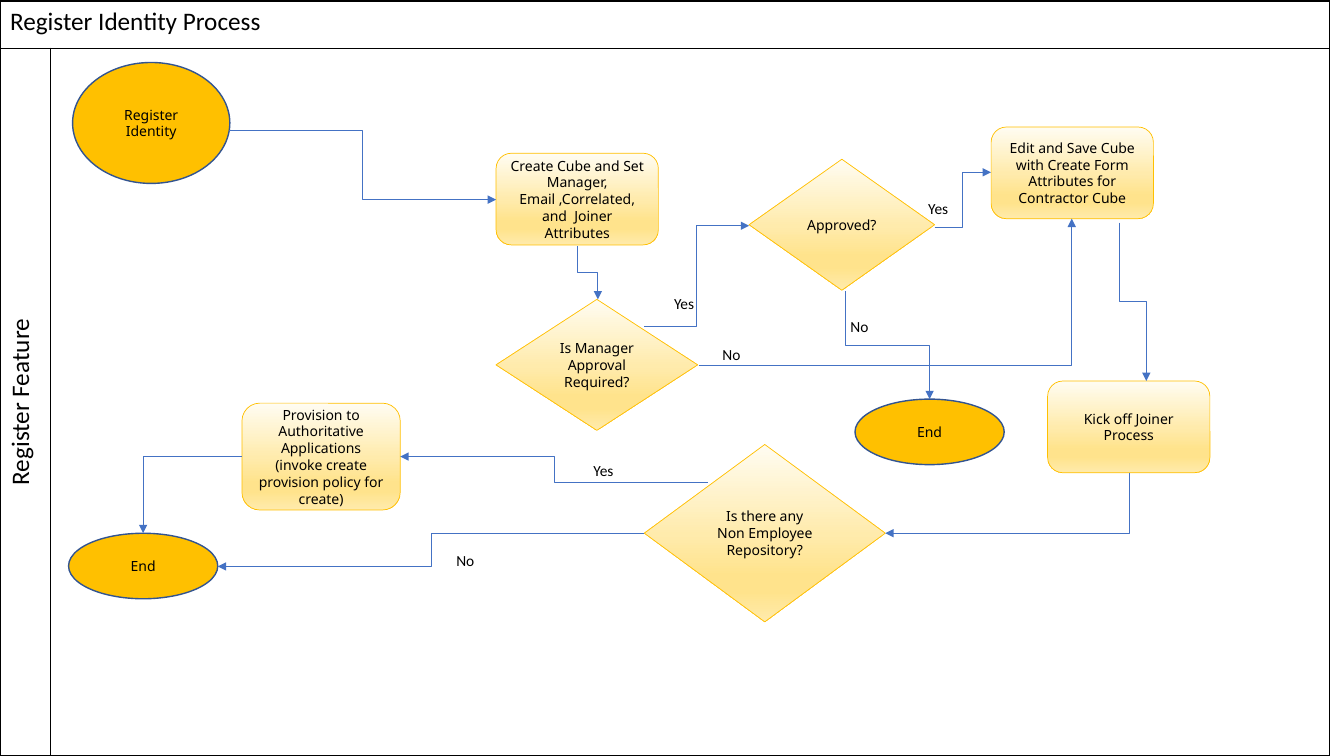
from lxml.etree import SubElement
from pptx import Presentation
from pptx.dml.color import RGBColor
from pptx.enum.shapes import MSO_CONNECTOR, MSO_SHAPE
from pptx.enum.text import MSO_ANCHOR, PP_ALIGN
from pptx.oxml import parse_xml
from pptx.oxml.ns import nsdecls, qn
from pptx.util import Inches, Pt

BLACK = RGBColor(0x00, 0x00, 0x00)
GOLD = RGBColor(0xFF, 0xC0, 0x00)
NAVY = RGBColor(0x32, 0x54, 0x91)
BLUE = RGBColor(0x44, 0x72, 0xC4)
FADE = [
    (0, RGBColor(0xFF, 0xFC, 0xF2)),
    (51, RGBColor(0xFF, 0xEB, 0xAC)),
    (74, RGBColor(0xFF, 0xE3, 0x8C)),
    (83, RGBColor(0xFF, 0xE3, 0x8C)),
    (100, RGBColor(0xFF, 0xEB, 0xAC)),
]

ENDS = [
    ("Register Identity", 0.72, 0.62, 1.56, 1.2),
    ("End", 0.68, 5.29, 1.48, 0.65),
    ("End", 8.48, 3.96, 1.48, 0.65),
]
STEPS = [
    ("Create Cube and Set Manager, Email ,Correlated, and  Joiner Attributes",
     4.92, 1.52, 1.61, 0.91),
    ("Edit and Save Cube with Create Form Attributes for Contractor Cube",
     9.83, 1.26, 1.61, 0.91),
    ("Kick off Joiner Process", 10.39, 3.78, 1.61, 0.91),
    ("Provision to Authoritative Applications (invoke create provision policy for create)",
     2.4, 4, 1.57, 1.06),
]
CHECKS = [
    ("Is Manager Approval Required?", 4.92, 2.97, 2, 1.3),
    ("Approved?", 7.43, 1.58, 1.84, 1.3),
    ("Is there any Non Employee Repository?", 6.39, 4.41, 2.39, 1.76),
]
LABELS = [
    ("Yes", 9.08, 1.89), ("Yes", 6.56, 2.83), ("No", 7.03, 3.34),
    ("No", 8.3, 3.06), ("No", 4.39, 5.38), ("Yes", 5.76, 4.49),
]
LINKS = [
    ("HVH", 2.27, 1.29, 4.92, 1.98),
    ("HVH", 6.39, 3.24, 7.43, 2.24),
    ("HV", 6.93, 3.62, 10.63, 2.17),
    ("HVH", 9.27, 2.26, 9.83, 1.71),
    ("VHV", 11.1, 2.21, 11.37, 3.78),
    ("VH", 11.2, 4.69, 8.78, 5.29),
    ("VHV", 5.73, 2.44, 5.93, 2.97),
    ("VHV", 8.38, 2.89, 9.22, 3.96),
    ("HVH", 6.39, 5.29, 2.16, 5.62),
    ("HVH", 7.02, 4.79, 3.97, 4.53),
    ("HV", 2.4, 4.53, 1.42, 5.29),
]


def style(para, size, font, align=PP_ALIGN.CENTER):
    """Set the font and alignment of a paragraph."""
    para.alignment = align
    para.font.size = Pt(size)
    para.font.name = font
    para.font.color.rgb = BLACK


def add_border(cell):
    """Draw a thin black line on each side of a cell."""
    props = cell._tc.get_or_add_tcPr()
    for rank, side in enumerate(("lnL", "lnR", "lnT", "lnB")):
        props.insert(rank, parse_xml(
            f'<a:{side} {nsdecls("a")} w="12700"><a:solidFill>'
            f'<a:srgbClr val="{BLACK}"/></a:solidFill></a:{side}>'))


def add_frame(slide):
    """Add the table that holds the title and the lane."""
    table = slide.shapes.add_table(
        2, 2, 0, Inches(0.01), Inches(13.19), Inches(7.49)).table
    table.first_row = table.horz_banding = False
    for col, width in zip(table.columns, (0.5, 12.69)):
        col.width = Inches(width)
    for row, height in zip(table.rows, (0.47, 7.02)):
        row.height = Inches(height)
    for cell in table.iter_cells():
        cell.fill.background()
        add_border(cell)
    title, lane = table.cell(0, 0), table.cell(1, 0)
    title.merge(table.cell(0, 1))
    title.text = "Register Identity Process"
    style(title.text_frame.paragraphs[0], 18, "Calibri", PP_ALIGN.LEFT)
    lane.text = "Register Feature"
    style(lane.text_frame.paragraphs[0], 18, "Calibri")
    lane._tc.get_or_add_tcPr().set("vert", "vert270")


def add_fade(fill):
    """Fill with the pale gold gradient from top to bottom."""
    fill.gradient()
    fill.gradient_angle = 270
    stops = fill._xPr.find(qn("a:gradFill")).find(qn("a:gsLst"))
    for stop in list(stops):
        stops.remove(stop)
    for place, color in FADE:
        stop = SubElement(stops, qn("a:gs"), pos=str(place * 1000))
        SubElement(stop, qn("a:srgbClr"), val=str(color))


def add_node(slide, kind, text, *box):
    """Add a flow shape with centred text."""
    node = slide.shapes.add_shape(kind, *map(Inches, box))
    node.shadow.inherit = False
    if kind == MSO_SHAPE.OVAL:
        node.fill.solid()
        node.fill.fore_color.rgb = GOLD
        node.line.color.rgb, node.line.width = NAVY, Pt(1)
    else:
        add_fade(node.fill)
        node.line.color.rgb, node.line.width = GOLD, Pt(0.5)
    frame = node.text_frame
    frame.word_wrap = True
    frame.vertical_anchor = MSO_ANCHOR.MIDDLE
    frame.text = text
    style(frame.paragraphs[0], 10, "Noto Sans")


def add_label(slide, text, left, top):
    """Add an answer beside an arrow."""
    box = slide.shapes.add_textbox(
        Inches(left), Inches(top), Inches(0.45), Inches(0.35))
    frame = box.text_frame
    frame.word_wrap = False
    frame.vertical_anchor = MSO_ANCHOR.MIDDLE
    frame.text = text
    style(frame.paragraphs[0], 11, "Calibri")


def add_link(slide, route, x1, y1, x2, y2):
    """Add a bent arrow; route names its legs, H across and V down."""
    turn = route[0] == "V"
    if turn:
        midx, midy = (x1 + x2) / 2, (y1 + y2) / 2
        halfx, halfy = (x2 - x1) / 2, (y2 - y1) / 2
        x1, x2 = midx - halfy, midx + halfy
        y1, y2 = midy + halfx, midy - halfx
    link = slide.shapes.add_connector(
        MSO_CONNECTOR.ELBOW, *map(Inches, (x1, y1, x2, y2)))
    link.line.color.rgb, link.line.width = BLUE, Pt(0.5)
    props = link._element.spPr
    if turn:
        props.find(qn("a:xfrm")).set("rot", "5400000")
    props.find(qn("a:prstGeom")).set("prst", f"bentConnector{len(route)}")
    SubElement(link.line._get_or_add_ln(), qn("a:tailEnd"), type="triangle")
    SubElement(props, qn("a:effectLst"))


def main():
    """Build the slide and save it."""
    deck = Presentation()
    deck.slide_width, deck.slide_height = Inches(13.33), Inches(7.5)
    slide = deck.slides.add_slide(deck.slide_layouts[6])
    add_frame(slide)
    groups = (
        (MSO_SHAPE.OVAL, ENDS),
        (MSO_SHAPE.ROUNDED_RECTANGLE, STEPS),
        (MSO_SHAPE.DIAMOND, CHECKS),
    )
    for kind, nodes in groups:
        for node in nodes:
            add_node(slide, kind, *node)
    for link in LINKS:
        add_link(slide, *link)
    for label in LABELS:
        add_label(slide, *label)
    deck.save("out.pptx")


main()
